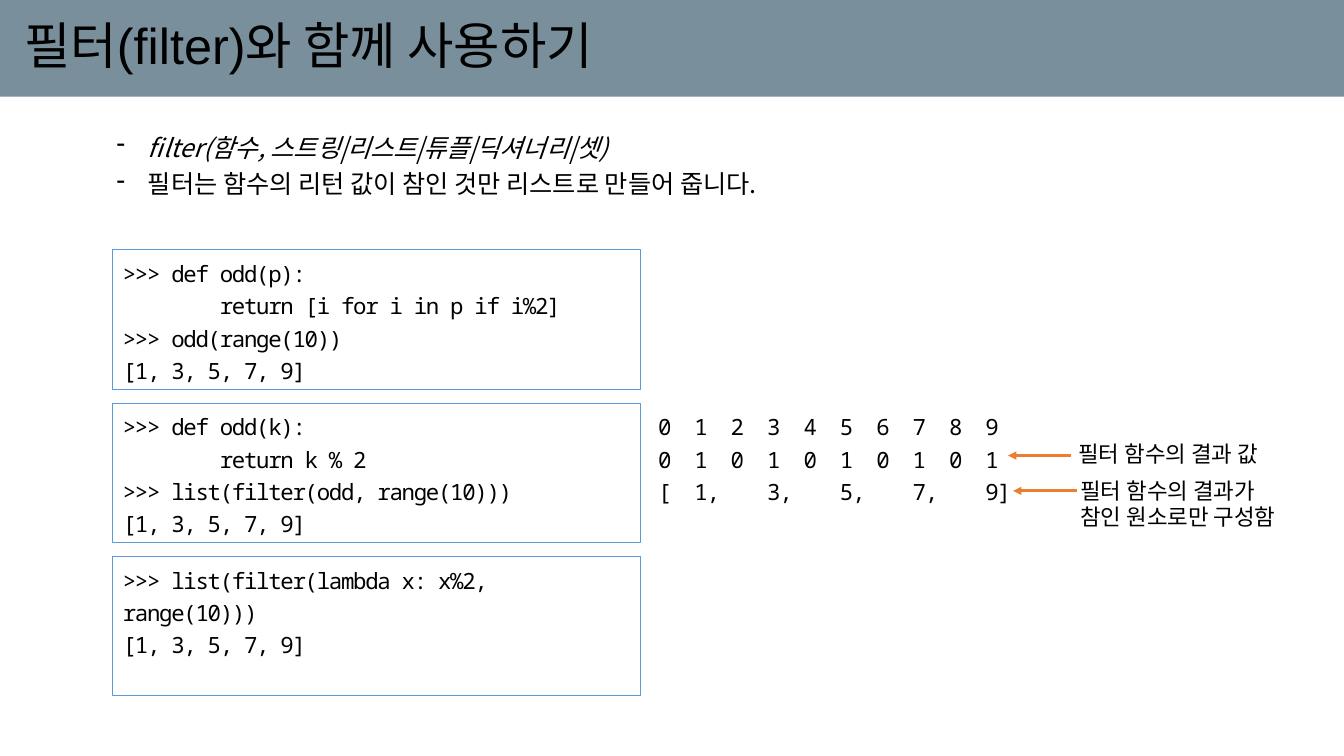
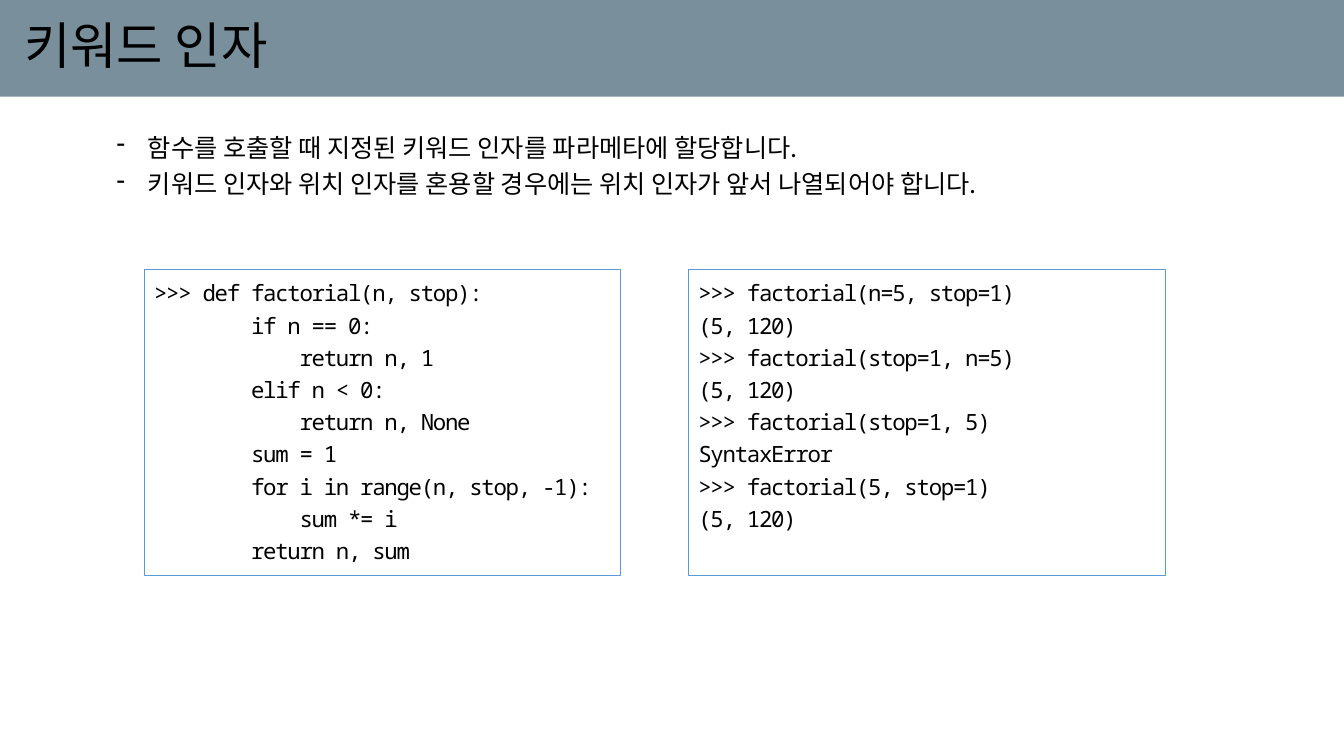
from lxml.etree import SubElement
from pptx import Presentation
from pptx.dml.color import RGBColor
from pptx.enum.shapes import MSO_CONNECTOR, MSO_SHAPE
from pptx.enum.text import MSO_ANCHOR, MSO_AUTO_SIZE, PP_ALIGN
from pptx.oxml.ns import qn
from pptx.util import Inches, Pt

COLORS = {"band": "79909C", "ink": "000000", "frame": "5B9BD5", "arrow": "ED7D31"}
KOREAN, MONO = "Noto Sans CJK KR", "Noto Sans Mono"
COLUMNS, ROWS = 40, 45


class Deck:
    """Lays out titled code slides on a grid of 40 columns and 45 rows."""

    def __init__(self):
        self.deck = Presentation()
        self.deck.slide_width = Inches(13.33)
        self.deck.slide_height = Inches(7.5)
        self.page = None

    def across(self, columns):
        return round(self.deck.slide_width * columns / COLUMNS)

    def down(self, rows):
        return round(self.deck.slide_height * rows / ROWS)

    def area(self, left, top, width, height):
        return self.across(left), self.down(top), self.across(width), self.down(height)

    def color(self, name):
        return RGBColor.from_string(COLORS[name])

    def fill_text(self, frame, text, size, font, leading=1.0, tracking=None):
        frame.text = text
        frame.word_wrap = True
        frame.auto_size = MSO_AUTO_SIZE.NONE
        for para in frame.paragraphs:
            para.alignment = PP_ALIGN.LEFT
            para.line_spacing = leading
            for span in para.runs:
                span.font.size = Pt(size)
                span.font.name = font
                span.font.color.rgb = self.color("ink")
                properties = span._r.get_or_add_rPr()
                SubElement(properties, qn("a:ea")).set("typeface", KOREAN)
                if tracking:
                    properties.set("spc", str(tracking))

    def add_page(self, title):
        self.page = self.deck.slides.add_slide(self.deck.slide_layouts[5])
        band = self.page.shapes.title
        band.left, band.top, band.width, band.height = self.area(0, 0, COLUMNS, 5.76)
        band.fill.solid()
        band.fill.fore_color.rgb = self.color("band")
        frame = band.text_frame
        self.fill_text(frame, title, 36, "Arial", leading=0.9)
        frame.vertical_anchor = MSO_ANCHOR.MIDDLE
        frame.margin_left = Inches(0.24)

    def add_text(self, area, text, size=16, font=KOREAN, **style):
        box = self.page.shapes.add_textbox(*self.area(*area))
        self.fill_text(box.text_frame, text, size, font, **style)
        return box.text_frame

    def add_bullets(self, text):
        frame = self.add_text((3.18, 7.2, 31.77, 4.98), text, size=18, leading=1.2)
        for para in frame.paragraphs:
            properties = para._p.get_or_add_pPr()
            properties.set("marL", str(Inches(0.31)))
            properties.set("indent", str(-Inches(0.31)))
            SubElement(properties, qn("a:buChar")).set("char", "-")
        return frame

    def add_mono(self, area, text):
        self.add_text(area, text, font=MONO, leading=1.2, tracking=-90)

    def add_code(self, area, text):
        box = self.page.shapes.add_shape(MSO_SHAPE.RECTANGLE, *self.area(*area))
        box.shadow.inherit = False
        box.fill.background()
        box.line.color.rgb = self.color("frame")
        box.line.width = Pt(0.75)
        self.fill_text(box.text_frame, text, 16, MONO, leading=1.2, tracking=-90)
        box.text_frame.vertical_anchor = MSO_ANCHOR.TOP

    def add_arrow(self, start, end, row):
        arrow = self.page.shapes.add_connector(
            MSO_CONNECTOR.STRAIGHT,
            self.across(start), self.down(row), self.across(end), self.down(row))
        arrow.line.color.rgb = self.color("arrow")
        arrow.line.width = Pt(2)
        properties = arrow._element.spPr
        SubElement(properties.find(qn("a:ln")), qn("a:tailEnd")).set("type", "triangle")
        SubElement(properties, qn("a:effectLst"))


FILTER_CODES = [
    """>>> def odd(p):
        return [i for i in p if i%2]
>>> odd(range(10))
[1, 3, 5, 7, 9]""",
    """>>> def odd(k):
        return k % 2
>>> list(filter(odd, range(10)))
[1, 3, 5, 7, 9]""",
    """>>> list(filter(lambda x: x%2, range(10)))
[1, 3, 5, 7, 9]""",
]

FILTER_TRACE = """0  1  2  3  4  5  6  7  8  9
0  1  0  1  0  1  0  1  0  1
[  1,    3,    5,    7,    9]"""

KEYWORD_CODES = [
    """>>> def factorial(n, stop):
        if n == 0:
            return n, 1
        elif n < 0:
            return n, None
        sum = 1
        for i in range(n, stop, -1):
            sum *= i
        return n, sum""",
    """>>> factorial(n=5, stop=1)
(5, 120)
>>> factorial(stop=1, n=5)
(5, 120)
>>> factorial(stop=1, 5)
SyntaxError
>>> factorial(5, stop=1)
(5, 120)""",
]


def add_filter_page(deck):
    deck.add_page("필터(filter)와 함께 사용하기")
    bullets = deck.add_bullets(
        "filter(함수, 스트링|리스트|튜플|딕셔너리|셋)\n"
        "필터는 함수의 리턴 값이 참인 것만 리스트로 만들어 줍니다.")
    bullets.paragraphs[0].runs[0].font.italic = True
    for index, code in enumerate(FILTER_CODES):
        deck.add_code((3.36, 14.88 + 9.12 * index, 15.69, 8.28), code)
    deck.add_mono((19.29, 24, 15.06, 8.28), FILTER_TRACE)
    deck.add_text((31.8, 25.92, 6.69, 2.22), "필터 함수의 결과 값")
    deck.add_text((31.86, 28.08, 7.14, 3.84), "필터 함수의 결과가\n참인 원소로만 구성함")
    deck.add_arrow(31.89, 30, 27.12)
    deck.add_arrow(32.04, 30.15, 29.22)


def add_keyword_page(deck):
    deck.add_page("키워드 인자")
    deck.add_bullets(
        "함수를 호출할 때 지정된 키워드 인자를 파라메타에 할당합니다.\n"
        "키워드 인자와 위치 인자를 혼용할 경우에는 위치 인자가 앞서 나열되어야 합니다.")
    for index, code in enumerate(KEYWORD_CODES):
        deck.add_code((4.29 + 16.2 * index, 16.02, 14.19, 18.24), code)


def main():
    deck = Deck()
    add_filter_page(deck)
    add_keyword_page(deck)
    deck.deck.save("out.pptx")


if __name__ == "__main__":
    main()
